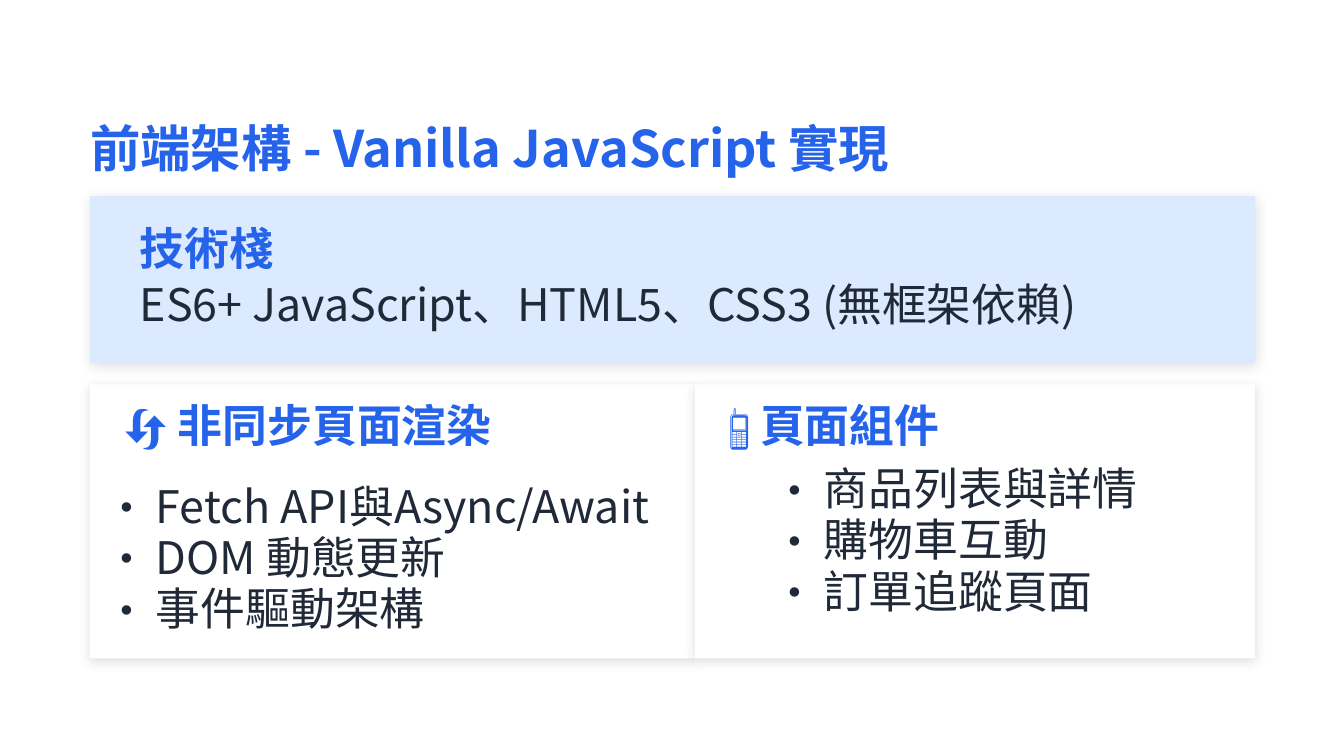
from lxml.etree import SubElement
from pptx import Presentation
from pptx.dml.color import RGBColor
from pptx.enum.shapes import MSO_SHAPE
from pptx.enum.text import MSO_ANCHOR, MSO_AUTO_SIZE, PP_ALIGN
from pptx.oxml.ns import qn
from pptx.util import Inches, Pt

BLUE = RGBColor(0x25, 0x63, 0xEB)
PALE_BLUE = RGBColor(0xDB, 0xEA, 0xFE)
INK = RGBColor(0x1F, 0x29, 0x37)
WHITE = RGBColor(0xFF, 0xFF, 0xFF)
FONT = "Noto Sans CJK SC"
HEADING = {"size": Pt(24), "bold": True, "color": BLUE}
BODY = {"size": Pt(24), "bold": False, "color": INK}


def place(shape, box):
    """Move and size a shape to a box given in inches."""
    for side, length in zip(("left", "top", "width", "height"), box):
        setattr(shape, side, Inches(length))


def prepare_frame(frame):
    """Give a text frame no margins, wrapping and top anchoring."""
    settings = {
        "margin_left": 0, "margin_top": 0, "margin_right": 0, "margin_bottom": 0,
        "word_wrap": True, "auto_size": MSO_AUTO_SIZE.NONE,
        "vertical_anchor": MSO_ANCHOR.TOP,
    }
    for name, value in settings.items():
        setattr(frame, name, value)


def write_line(paragraph, words, style, spacing):
    """Write one left-aligned run with a fixed line spacing in points."""
    paragraph.alignment = PP_ALIGN.LEFT
    paragraph.line_spacing = Pt(spacing)
    run = paragraph.add_run()
    run.text = words
    font = run.font
    font.name, font.size, font.bold = FONT, style["size"], style["bold"]
    font.color.rgb = style["color"]
    SubElement(font._element, qn("a:ea"), typeface=FONT)


def add_line(slide, box, words, style, spacing):
    """Add a text box holding a single line."""
    frame = slide.shapes.add_textbox(*map(Inches, box)).text_frame
    prepare_frame(frame)
    write_line(frame.paragraphs[0], words, style, spacing)


def add_bullets(slide, box, items):
    """Add a bulleted list with a hanging indent."""
    frame = slide.shapes.add_textbox(*map(Inches, box)).text_frame
    prepare_frame(frame)
    for index, item in enumerate(items):
        paragraph = frame.add_paragraph() if index else frame.paragraphs[0]
        write_line(paragraph, item, BODY, 13.7)
        if index:
            paragraph.space_before = Pt(13.7)
        properties = paragraph._p.get_or_add_pPr()
        properties.set("marL", str(Inches(0.38)))
        properties.set("indent", str(Inches(-0.38)))
        SubElement(properties, qn("a:buFont"), typeface=FONT)
        SubElement(properties, qn("a:buChar"), char="•")
        SubElement(paragraph._p, qn("a:endParaRPr"), sz="2400")


def add_card(slide, box, fill):
    """Add a borderless rectangle with a soft shadow below it."""
    card = slide.shapes.add_shape(MSO_SHAPE.RECTANGLE, *map(Inches, box))
    card.fill.solid()
    card.fill.fore_color.rgb = fill
    card.line.fill.background()
    card.shadow.inherit = False
    effects = card._element.spPr.find(qn("a:effectLst"))
    shadow = SubElement(effects, qn("a:outerShdw"), blurRad=str(Pt(6)),
                        dist=str(Pt(1.5)), dir="5400000", algn="ctr", rotWithShape="0")
    shade = SubElement(shadow, qn("a:srgbClr"), val="000000")
    SubElement(shade, qn("a:alpha"), val="12000")


def set_title(slide, box, words):
    """Place and format the slide title."""
    title = slide.shapes.title
    place(title, box)
    prepare_frame(title.text_frame)
    style = HEADING | {"size": Pt(27)}
    write_line(title.text_frame.paragraphs[0], words, style, 46.8)


def add_stack_panel(slide, box, heading, technologies):
    """Add the full-width panel that names the technologies."""
    left, top, width, height = box
    add_card(slide, box, PALE_BLUE)
    inner_left, inner_width = left + 0.37, width - 0.55
    add_line(slide, (inner_left, top + 0.33, inner_width, 0.27), heading, HEADING, 18)
    add_line(slide, (inner_left, top + 0.6, inner_width, 0.3), technologies, BODY, 28.8)


def add_feature_panel(slide, box, heading, items, list_offset):
    """Add a white panel with a heading and a list at an offset."""
    left, top, width, height = box
    across, down = list_offset
    add_card(slide, box, WHITE)
    add_line(slide, (left + 0.25, top + 0.25, 3.74, 0.28), heading, HEADING, 18)
    add_bullets(slide, (left + across, top + down, width - across, 1.26), items)


def main():
    """Build the slide and save it."""
    presentation = Presentation()
    presentation.slide_width = Inches(10)
    presentation.slide_height = presentation.slide_width * 9 // 16
    slide = presentation.slides.add_slide(presentation.slide_layouts[5])
    set_title(slide, (0.67, 0.67, 8.84, 0.49), "前端架構 - Vanilla JavaScript 實現")
    add_stack_panel(slide, (0.67, 1.46, 8.67, 1.24), "技術棧",
                    "ES6+ JavaScript、HTML5、CSS3 (無框架依賴)")
    features = (
        (0.67, 4.5, "🔄 非同步頁面渲染",
         ("Fetch API與Async/Await", "DOM 動態更新", "事件驅動架構"), (0.11, 0.91)),
        (5.17, 4.17, "📱 頁面組件",
         ("商品列表與詳情", "購物車互動", "訂單追蹤頁面"), (0.58, 0.78)),
    )
    for left, width, heading, items, list_offset in features:
        add_feature_panel(slide, (left, 2.86, width, 2.04), heading, items, list_offset)
    presentation.save("out.pptx")


if __name__ == "__main__":
    main()
